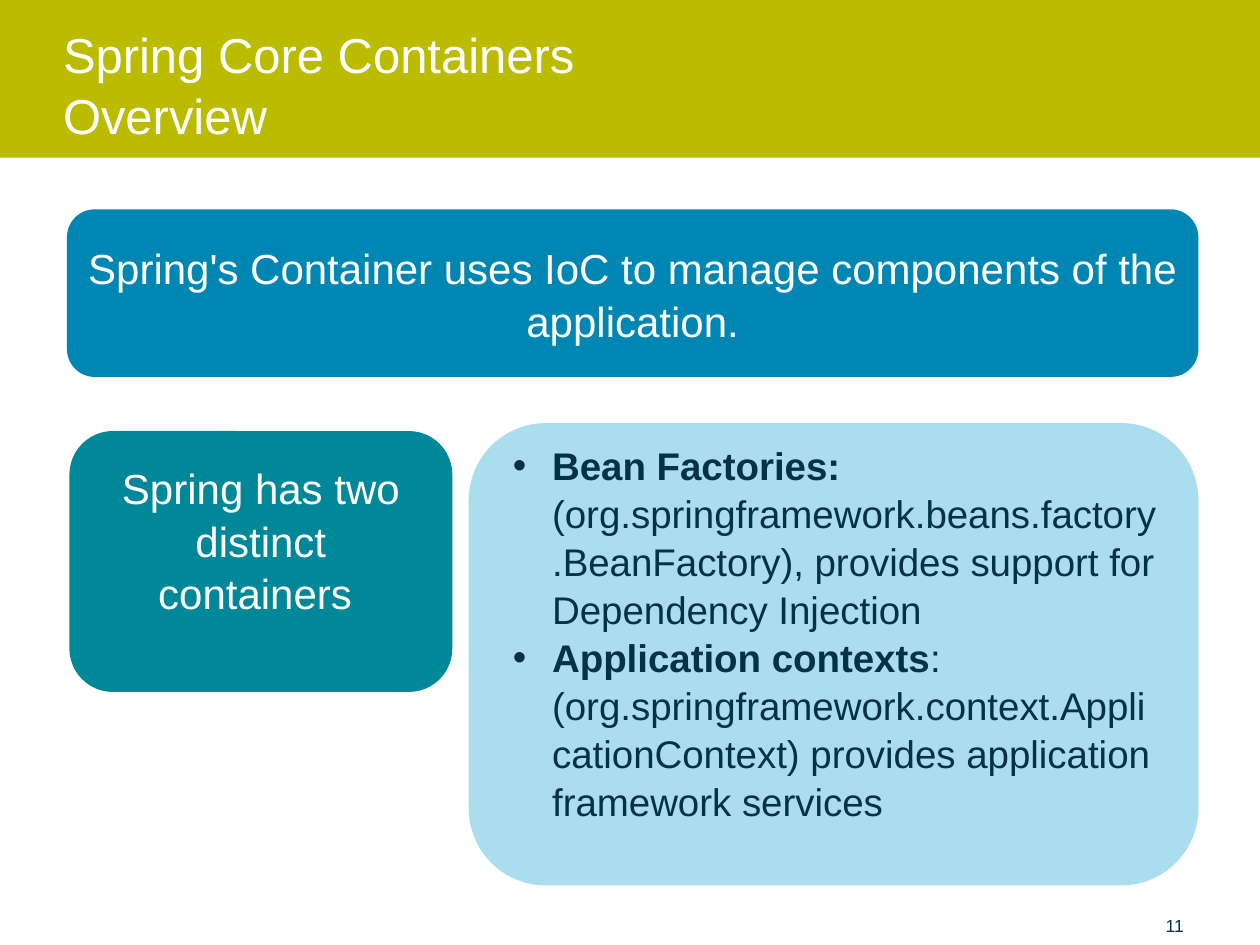
import pptx
import pptx.util
import pptx.dml.color
import pptx.enum.shapes
import pptx.enum.text

Cm = pptx.util.Cm
Pt = pptx.util.Pt
MIDDLE = pptx.enum.text.MSO_ANCHOR.MIDDLE
BOTTOM = pptx.enum.text.MSO_ANCHOR.BOTTOM
LEFT = pptx.enum.text.PP_ALIGN.LEFT
CENTER = pptx.enum.text.PP_ALIGN.CENTER
ROUNDED = pptx.enum.shapes.MSO_SHAPE.ROUNDED_RECTANGLE
RECTANGLE = pptx.enum.shapes.MSO_SHAPE.RECTANGLE


def paint(color_format, hex_color):
    color_format.rgb = pptx.dml.color.RGBColor.from_string(hex_color)


def apply(target, values):
    for name, value in values.items():
        setattr(target, name, value)


deck = pptx.Presentation()
apply(deck, {"slide_width": Cm(25.4), "slide_height": Cm(19.05)})
slide = deck.slides.add_slide(deck.slide_layouts[1])
title, containers = slide.shapes.title, slide.placeholders[1]

panels = []
for kind, left, top, width, height, fill in [
    (RECTANGLE, 0, 0, 25.4, 3.18, "BBBB00"),
    (ROUNDED, 1.4, 8.69, 7.72, 5.26, "008899"),
    (ROUNDED, 9.45, 8.53, 14.71, 9.32, "AADDEE"),
    (ROUNDED, 1.35, 4.22, 22.81, 3.38, "0086B2"),
]:
    panel = slide.shapes.add_shape(kind, Cm(left), Cm(top), Cm(width), Cm(height))
    panel.shadow.inherit = False
    panel.fill.solid()
    paint(panel.fill.fore_color, fill)
    panel.line.fill.background()
    title._element.addprevious(panel._element)
    panels.append(panel)
band, distinct, backdrop, principle = panels

apply(title, {"left": Cm(1.27), "top": Cm(0.51), "width": Cm(22.86), "height": Cm(2.41)})
apply(containers, {side: getattr(backdrop, side) for side in ("left", "top", "width", "height")})
page_number = slide.shapes.add_textbox(Cm(23.5), Cm(18.16), Cm(1.75), Cm(0.71))

blocks = [
    (title, [[("Spring Core Containers\vOverview", False)]],
     28, "FFFFFF", LEFT, BOTTOM, (0, 0, 0, 0)),
    (distinct, [[("Spring has two distinct containers ", False)]],
     24, "FFFFFF", CENTER, MIDDLE, (0.25, 0.13, 0.25, 1.02)),
    (containers,
     [[("Bean Factories: ", True),
       ("(org.springframework.beans.factory.BeanFactory), "
        "provides support for Dependency Injection", False)],
      [("Application contexts", True),
       (": (org.springframework.context.ApplicationContext) "
        "provides application framework services", False)]],
     22, "003344", LEFT, MIDDLE, (0.71, 0.58, 0.71, 1.48)),
    (principle,
     [[("Spring's Container uses IoC to manage components of the application.", False)]],
     24, "FFFFFF", CENTER, MIDDLE, (0.25, 0.13, 0.25, 0.13)),
    (page_number, [[("11", False)]], 10, "003344", LEFT, BOTTOM, (0, 0, 0, 0)),
]

for block, paragraphs, size, color, alignment, anchor, insets in blocks:
    frame = block.text_frame
    apply(frame, {
        "word_wrap": True,
        "auto_size": pptx.enum.text.MSO_AUTO_SIZE.NONE,
        "vertical_anchor": anchor,
    })
    sides = ("margin_left", "margin_top", "margin_right", "margin_bottom")
    apply(frame, dict(zip(sides, map(Cm, insets))))
    for index, pieces in enumerate(paragraphs):
        paragraph = frame.add_paragraph() if index else frame.paragraphs[0]
        apply(paragraph, {"alignment": alignment, "line_spacing": 1.04, "space_before": Pt(0)})
        if block is containers:
            properties = paragraph._p.get_or_add_pPr()
            properties.set("marL", str(Cm(0.97)))
            properties.set("indent", str(Cm(-0.79)))
        for line_index, (words, bold) in enumerate(pieces):
            for part_index, part in enumerate(words.split("\v")):
                if part_index:
                    paragraph.add_line_break()
                run = paragraph.add_run()
                run.text = part
                apply(run.font, {"name": "Arial", "size": Pt(size), "bold": bold})
                paint(run.font.color, color)

deck.save("out.pptx")
